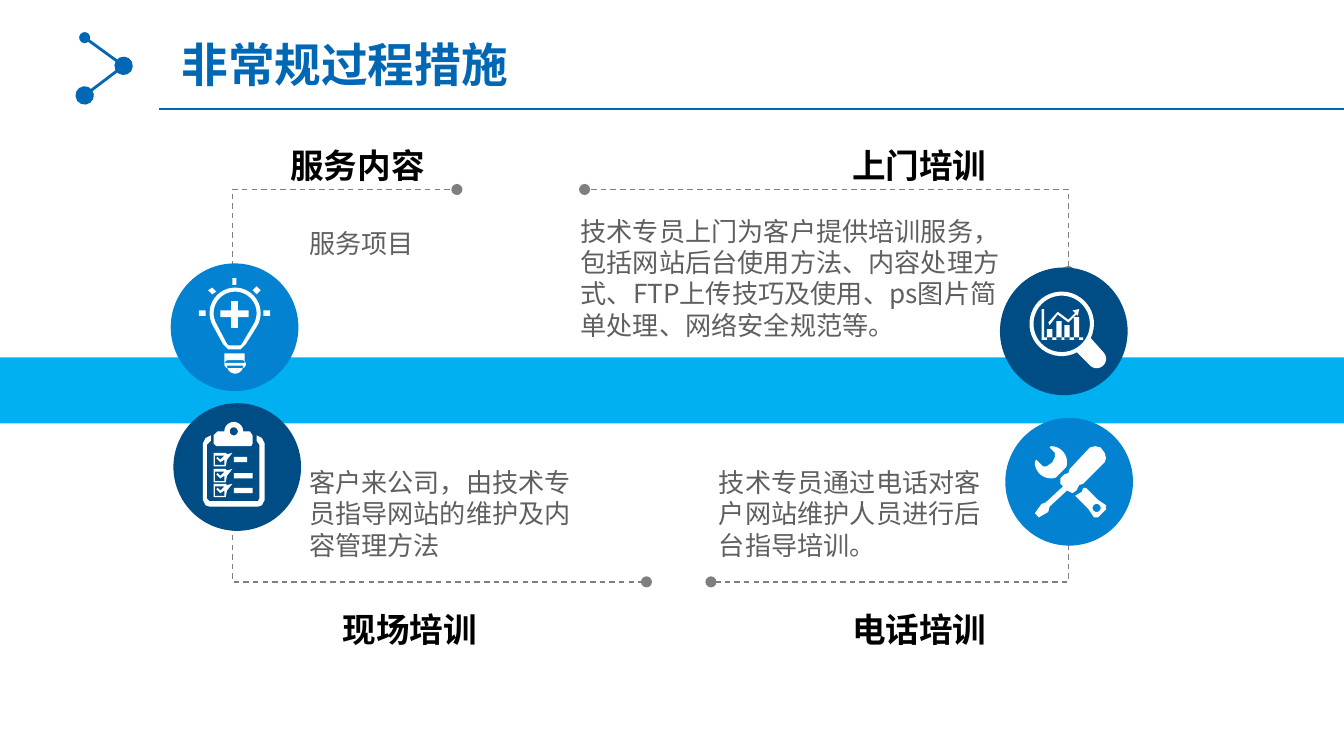
import math

import pptx
import pptx.dml.color
import pptx.enum.dml
import pptx.enum.shapes
import pptx.enum.text
import pptx.oxml
import pptx.oxml.ns
import pptx.util

Inches, Pt = pptx.util.Inches, pptx.util.Pt
ALIGN = pptx.enum.text.PP_ALIGN
SHAPE = pptx.enum.shapes.MSO_SHAPE
DASH = pptx.enum.dml.MSO_LINE.DASH
qn = pptx.oxml.ns.qn

COLORS = {"title": "0067B4", "band": "00B0F0", "light": "0282D0", "dark": "004D86",
          "rule": "7F7F7F", "body": "5F5F5F", "black": "000000", "white": "FFFFFF"}
CJK = "Noto Sans CJK SC"
TITLE = "非常规过程措施"

# text, (left, top, width, height), alignment
HEADINGS = [
    ("服务内容", (1.68, 1.04, 1.96, 0.39), ALIGN.CENTER),
    ("上门培训", (5.36, 1.04, 2.05, 0.39), ALIGN.RIGHT),
    ("现场培训", (2.36, 4.49, 1.26, 0.39), ALIGN.RIGHT),
    ("电话培训", (5.98, 4.49, 1.43, 0.39), ALIGN.RIGHT),
]
BODIES = [
    ("服务项目", (2.23, 1.65, 2.13, 0.32)),
    ("技术专员上门为客户提供培训服务，包括网站后台使用方法、内容处理方式、FTP上传技巧及使用、"
     "ps图片简单处理、网络安全规范等。", (4.25, 1.56, 3.41, 1.02)),
    ("客户来公司，由技术专员指导网站的维护及内容管理方法", (2.23, 3.43, 2.13, 0.79)),
    ("技术专员通过电话对客户网站维护人员进行后台指导培训。", (5.28, 3.43, 2.13, 0.79)),
]
# side x, y at the badge, y of the horizontal run, x of the free end
BRACKETS = [(1.73, 2.02, 1.41, 3.4), (7.95, 2.02, 1.41, 4.35),
            (1.73, 3.73, 4.33, 4.81), (7.95, 3.73, 4.33, 5.29)]
MOTIF = [((0.63, 0.28), (0.92, 0.49)), ((0.92, 0.49), (0.63, 0.71))]


def arc(cx, cy, r, start, end):
    """Points on an arc, angles in degrees, clockwise from the right."""
    n = max(8, round(abs(end - start) / 8))
    angles = [math.radians(start + (end - start) * i / n) for i in range(n + 1)]
    return [(cx + r * math.cos(a), cy + r * math.sin(a)) for a in angles]


def rect(x, y, w, h):
    return [(x, y), (x + w, y), (x + w, y + h), (x, y + h)]


# Each icon is a list of closed contours; a contour inside another cuts a hole.
BULB = [
    arc(1.75, 2.33, 0.19, 150, 390) + [(1.83, 2.56), (1.79, 2.6), (1.7, 2.6), (1.66, 2.56)],
    arc(1.75, 2.33, 0.16, 150, 390) + [(1.8, 2.56), (1.79, 2.57), (1.7, 2.57), (1.69, 2.56)],
    [(1.72, 2.24), (1.77, 2.24), (1.77, 2.31), (1.85, 2.31), (1.85, 2.36), (1.77, 2.36),
     (1.77, 2.44), (1.72, 2.44), (1.72, 2.36), (1.64, 2.36), (1.64, 2.31), (1.72, 2.31)],
    rect(1.67, 2.63, 0.15, 0.07),
    arc(1.7, 2.71, 0.03, 90, 270) + arc(1.8, 2.71, 0.03, -90, 90),
    arc(1.75, 2.72, 0.06, 0, 180),
    rect(1.73, 2.07, 0.03, 0.05), rect(1.48, 2.31, 0.05, 0.04), rect(1.96, 2.31, 0.05, 0.04),
    [(1.91, 2.19), (1.88, 2.16), (1.91, 2.13), (1.94, 2.16)],
    [(1.58, 2.19), (1.61, 2.17), (1.58, 2.14), (1.55, 2.16)],
]
CLIPBOARD = [
    [(1.57, 3.28), (1.54, 3.31), (1.54, 3.71), (1.56, 3.73), (1.92, 3.73), (1.93, 3.71),
     (1.93, 3.31), (1.91, 3.28), (1.91, 3.24), (1.95, 3.26), (1.97, 3.3), (1.97, 3.72),
     (1.95, 3.76), (1.92, 3.77), (1.56, 3.77), (1.53, 3.76), (1.51, 3.72), (1.51, 3.3),
     (1.53, 3.26), (1.57, 3.24)],
    arc(1.74, 3.21, 0.07, 180, 360) + [(1.86, 3.21), (1.88, 3.24), (1.88, 3.3), (1.87, 3.32),
                                       (1.61, 3.32), (1.59, 3.3), (1.59, 3.24), (1.62, 3.21)],
    arc(1.74, 3.21, 0.03, 0, 360),
]
for y, bar in [(3.37, 0.1), (3.49, 0.14), (3.6, 0.14)]:
    CLIPBOARD += [
        [(1.59, y), (1.68, y), (1.69, y + 0.01), (1.73, y), (1.69, y + 0.05),
         (1.68, y + 0.1), (1.59, y + 0.1)],
        [(1.6, y + 0.02), (1.67, y + 0.02), (1.64, y + 0.05), (1.62, y + 0.03),
         (1.61, y + 0.04), (1.64, y + 0.07), (1.67, y + 0.05), (1.67, y + 0.09), (1.6, y + 0.09)],
        rect(1.74, y + 0.03, bar, 0.04),
    ]
MAGNIFIER = [
    arc(7.9, 2.41, 0.24, 62, 386) + arc(8.16, 2.67, 0.07, -45, 135),
    arc(7.9, 2.41, 0.21, 0, 360),
    [(7.75, 2.3), (7.77, 2.3), (7.77, 2.51), (8.06, 2.51), (8.06, 2.53), (7.75, 2.53)],
    [(7.8, 2.4), (7.87, 2.32), (7.95, 2.38), (8, 2.33), (7.98, 2.31), (8.03, 2.3),
     (8.02, 2.35), (8.01, 2.34), (7.95, 2.4), (7.87, 2.34), (7.81, 2.42)],
] + [rect(x, top, 0.04, 2.53 - top)
     for x, top in [(7.79, 2.45), (7.86, 2.39), (7.92, 2.42), (7.99, 2.36)]]
TOOLS = [
    [(8.06, 3.63), (8.05, 3.66), (8, 3.69), (8.1, 3.79), (8.14, 3.85), (8.17, 3.85),
     (8.23, 3.79), (8.23, 3.76), (8.17, 3.72), (8.08, 3.63)],
    arc(8.16, 3.78, 0.03, 0, 360),
    arc(7.82, 3.44, 0.12, -90, 15) + [(7.92, 3.49), (7.86, 3.55)]
    + arc(7.82, 3.44, 0.12, 75, 180) + [(7.71, 3.42), (7.76, 3.47), (7.79, 3.47),
                                        (7.83, 3.44), (7.85, 3.4), (7.85, 3.37), (7.81, 3.33)],
    [(8.22, 3.37), (8.19, 3.33), (8.15, 3.32), (8.11, 3.33), (7.96, 3.49), (7.95, 3.52),
     (7.92, 3.53), (7.89, 3.56), (7.89, 3.6), (7.91, 3.62), (7.78, 3.74), (7.75, 3.75),
     (7.7, 3.82), (7.73, 3.85), (7.8, 3.81), (7.81, 3.77), (7.94, 3.65), (7.98, 3.67),
     (8.01, 3.65), (8.03, 3.61), (8.06, 3.6), (8.22, 3.44), (8.23, 3.41)],
]
# badge left, top, colour, icon
BADGES = [(1.27, 1.96, "light", BULB), (1.29, 3, "dark", CLIPBOARD),
          (7.44, 1.99, "dark", MAGNIFIER), (7.48, 3.11, "light", TOOLS)]


def rgb(name):
    return pptx.dml.color.RGBColor.from_string(COLORS[name])


def paint(sp, color):
    sp.shadow.inherit = False
    sp.fill.solid()
    sp.fill.fore_color.rgb = rgb(color)
    sp.line.fill.background()


def style_line(sp, color, width, tail=None):
    """Colour a line; a tail size ("med" or "lg") puts ovals on both ends."""
    sp.line.color.rgb = rgb(color)
    sp.line.width = Pt(width)
    if tail:
        ln = sp.line._get_or_add_ln()
        for tag, size in (("a:headEnd", "med"), ("a:tailEnd", tail)):
            ln.append(ln.makeelement(qn(tag), {"type": "oval", "w": size, "len": size}))


def add_line(s, start, end, width, tail=None):
    sp = s.shapes.add_connector(pptx.enum.shapes.MSO_CONNECTOR.STRAIGHT,
                                *map(Inches, start + end))
    style_line(sp, "title", width, tail)
    sp._element.spPr.append(sp._element.makeelement(qn("a:effectLst"), {}))


def add_outline(s, contours, close=True):
    points = [[(Inches(x), Inches(y)) for x, y in c] for c in contours]
    builder = s.shapes.build_freeform(*points[0][0])
    for i, contour in enumerate(points):
        if i:
            builder.move_to(*contour[0])
        builder.add_line_segments(contour[1:], close=close)
    return builder.convert_to_shape()


def write(sp, text, size, color, box, bold=False, align=ALIGN.LEFT, font=CJK,
          insets=(0.07, 0.04), wrap=True):
    sp.left, sp.top, sp.width, sp.height = map(Inches, box)
    tf = sp.text_frame
    tf.auto_size = pptx.enum.text.MSO_AUTO_SIZE.NONE
    tf.word_wrap = wrap
    tf.vertical_anchor = pptx.enum.text.MSO_ANCHOR.TOP
    tf.margin_left = tf.margin_right = Inches(insets[0])
    tf.margin_top = tf.margin_bottom = Inches(insets[1])
    p = tf.paragraphs[0]
    p.alignment = align
    p.line_spacing = Pt(size * 1.2)
    r = p.add_run()
    r.text = text
    r.font.size, r.font.bold, r.font.name = Pt(size), bold, font
    r.font.color.rgb = rgb(color)
    r_pr = r._r.get_or_add_rPr()
    r_pr.append(r_pr.makeelement(qn("a:ea"), {"typeface": CJK}))


prs = pptx.Presentation()
prs.slide_width = Inches(10)
prs.slide_height = prs.slide_width * 9 // 16
s = prs.slides.add_slide(prs.slide_layouts[5])
write(s.shapes.title, TITLE, 25, "title", (1.25, 0.22, 2.63, 0.54), bold=True,
      font="Arial", insets=(0.1, 0.05), wrap=False)
for start, end in MOTIF:
    add_line(s, start, end, 1.5, tail="lg")
add_line(s, (1.18, 0.81), (10, 0.81), 1)

for x, y, run_y, end_x in BRACKETS:
    sp = add_outline(s, [[(x, y), (x, run_y), (end_x, run_y)]], close=False)
    sp.shadow.inherit = False
    sp.fill.background()
    sp.line.dash_style = DASH
    style_line(sp, "rule", 0, tail="med")

paint(s.shapes.add_shape(SHAPE.RECTANGLE, 0, Inches(2.66), prs.slide_width, Inches(0.49)), "band")
for x, y, color, icon in BADGES:
    paint(s.shapes.add_shape(SHAPE.OVAL, *map(Inches, (x, y, 0.95, 0.95))), color)
    paint(add_outline(s, icon), "white")

for text, box, align in HEADINGS:
    write(s.shapes.add_textbox(0, 0, 0, 0), text, 18, "black", box, bold=True, align=align)
for text, box in BODIES:
    write(s.shapes.add_textbox(0, 0, 0, 0), text, 14, "body", box)

prs.save("out.pptx")
